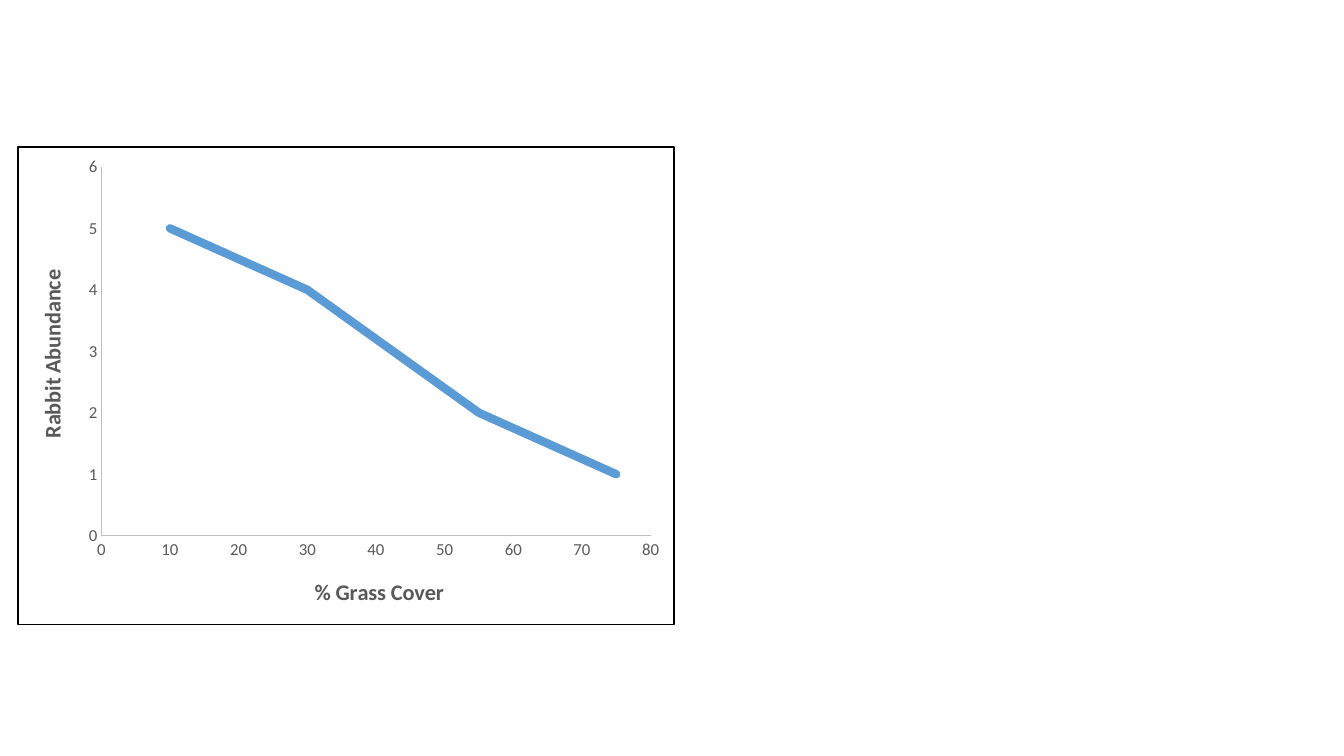
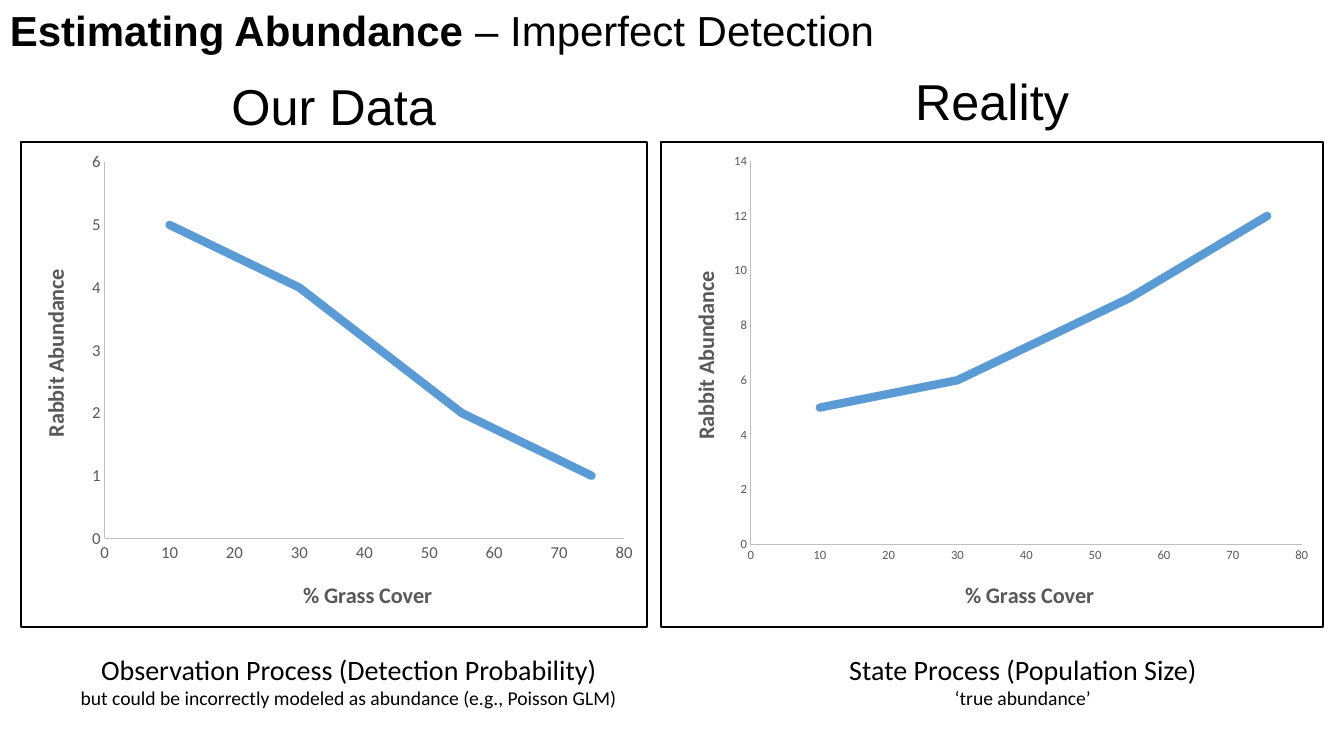
from lxml import etree
from pptx import Presentation
from pptx.chart.data import XyChartData
from pptx.dml.color import RGBColor
from pptx.enum.chart import XL_CHART_TYPE, XL_TICK_MARK
from pptx.enum.text import MSO_AUTO_SIZE, PP_ALIGN
from pptx.oxml import parse_xml
from pptx.oxml.ns import nsdecls, qn
from pptx.util import Inches, Pt

BLACK = RGBColor(0x00, 0x00, 0x00)
GRAY = RGBColor(0x59, 0x59, 0x59)
SILVER = RGBColor(0xBF, 0xBF, 0xBF)
BLUE = RGBColor(0x5B, 0x9B, 0xD5)

COVER = (10, 30, 55, 75)
SEEN = (5, 4, 2, 1)
TRUE = (5, 6, 9, 12)


class Deck:
    """Hold the style, the presentation and the current slide."""

    head, body = "Arial", "Calibri"

    def __init__(self):
        self.prs = Presentation()
        self.prs.slide_width = Inches(13.33)
        self.prs.slide_height = Inches(7.5)
        self.slide = None

    def page(self):
        self.slide = self.prs.slides.add_slide(self.prs.slide_layouts[6])

    def font(self, font, size, color, name, bold=False):
        font.size, font.name, font.bold = Pt(size), name, bold
        font.color.rgb = color

    def text(self, at, lines, name, align=PP_ALIGN.CENTER, wrap=True):
        box = self.slide.shapes.add_textbox(*map(Inches, at))
        frame = box.text_frame
        frame.word_wrap = wrap
        frame.auto_size = MSO_AUTO_SIZE.SHAPE_TO_FIT_TEXT
        for i, (words, size) in enumerate(lines):
            para = frame.add_paragraph() if i else frame.paragraphs[0]
            para.text = words
            para.alignment = align
            self.font(para.font, size, BLACK, name)
        return frame

    def title(self, topic, rest):
        frame = self.text((0, 0, 10.22, 0.61), [(topic, 30)], self.head, PP_ALIGN.LEFT)
        para = frame.paragraphs[0]
        para.runs[0].font.bold = True
        para.add_run().text = rest

    def label(self, left, top, words):
        self.text((left, top, 3.06, 0.71), [(words, 36)], self.head)

    def note(self, left, width, main, sub, wrap=True):
        self.text((left, 6.42, width, 0.67), [(main, 20), (sub, 14)], self.body, wrap=wrap)

    def place(self, owner, inner=False, **spots):
        layout = owner.find(qn("c:layout"))
        if layout is None:
            layout = parse_xml(f"<c:layout {nsdecls('c')}/>")
            owner.insert(0, layout)
        manual = etree.SubElement(layout, qn("c:manualLayout"))
        if inner:
            etree.SubElement(manual, qn("c:layoutTarget"), val="inner")
        for key in ("x", "y"):
            etree.SubElement(manual, qn(f"c:{key}Mode"), val="edge")
        for key, part in spots.items():
            etree.SubElement(manual, qn(f"c:{key}"), val=f"{part:.4f}")

    def axis(self, axis, words, top, step, size, x, y):
        axis.minimum_scale, axis.maximum_scale, axis.major_unit = 0, top, step
        axis.has_major_gridlines = False
        axis.major_tick_mark = axis.minor_tick_mark = XL_TICK_MARK.NONE
        axis.format.line.color.rgb = SILVER
        axis.format.line.width = Pt(0.75)
        self.font(axis.tick_labels.font, size, GRAY, self.body)
        title = axis.axis_title
        title.text_frame.text = words
        self.font(title.text_frame.paragraphs[0].font, 16, GRAY, self.body, True)
        self.place(title._element, x=x, y=y)
        return title

    def curve(self, at, vals, top, step, size, border, pads, inset):
        data = XyChartData()
        series = data.add_series("Series 1")
        for x, y in zip(COVER, vals):
            series.add_data_point(x, y)
        chart = self.slide.shapes.add_chart(
            XL_CHART_TYPE.XY_SCATTER_SMOOTH_NO_MARKERS, *map(Inches, at), data).chart
        chart.has_legend = chart.has_title = False
        self.font(chart.font, 10, BLACK, self.body)
        plot = chart.plots[0]
        plot.vary_by_categories = False
        line = plot.series[0]
        line.smooth = True
        line.format.line.color.rgb = BLUE
        line.format.line.width = Pt(6)
        line.format.line._get_or_add_ln().set("cap", "rnd")

        wide, high = at[2:]
        left, over, right, under = pads
        across, down = wide - left - right, high - over - under
        area = chart._chartSpace.chart.plotArea
        self.place(area, True, x=left / wide, y=over / high, w=across / wide, h=down / high)
        self.axis(chart.category_axis, "% Grass Cover", 80, 10, size,
                  (left + across / 2 - 0.65) / wide, 1 - 0.51 / high)
        side = self.axis(chart.value_axis, "Rabbit Abundance", top, step, size,
                         inset / wide, (over + down / 2 - 0.85) / high)
        turn = side.text_frame._txBody.bodyPr
        turn.set("rot", "-5400000")
        turn.set("vert", "horz")
        chart._chartSpace.chart.addnext(parse_xml(
            f"<c:spPr {nsdecls('c', 'a')}><a:noFill/><a:ln w='{Pt(border)}'>"
            f"<a:solidFill><a:srgbClr val='{BLACK}'/></a:solidFill></a:ln></c:spPr>"))

    def seen(self, at, border):
        self.curve(at, SEEN, 6, 1, 12, border, (0.83, 0.2, 0.23, 0.88), 0.15)

    def real(self, at, border):
        self.curve(at, TRUE, 14, 2, 9, border, (0.89, 0.19, 0.21, 0.82), 0.25)


def main():
    deck = Deck()
    deck.page()
    deck.seen((0.17, 1.45, 6.52, 4.75), 1)

    deck.page()
    deck.seen((0.2, 1.4, 6.23, 4.83), 1.5)
    deck.real((6.55, 1.4, 6.58, 4.83), 1.5)
    deck.label(8.31, 0.65, "Reality")
    deck.label(1.78, 0.7, "Our Data")
    deck.note(0.69, 5.54, "Observation Process (Detection Probability)",
              "but could be incorrectly modeled as abundance (e.g., Poisson GLM)")
    deck.note(8.3, 3.69, "State Process (Population Size)", "‘true abundance’", wrap=False)
    deck.title("Estimating Abundance ", "– Imperfect Detection")
    deck.prs.save("out.pptx")


if __name__ == "__main__":
    main()
